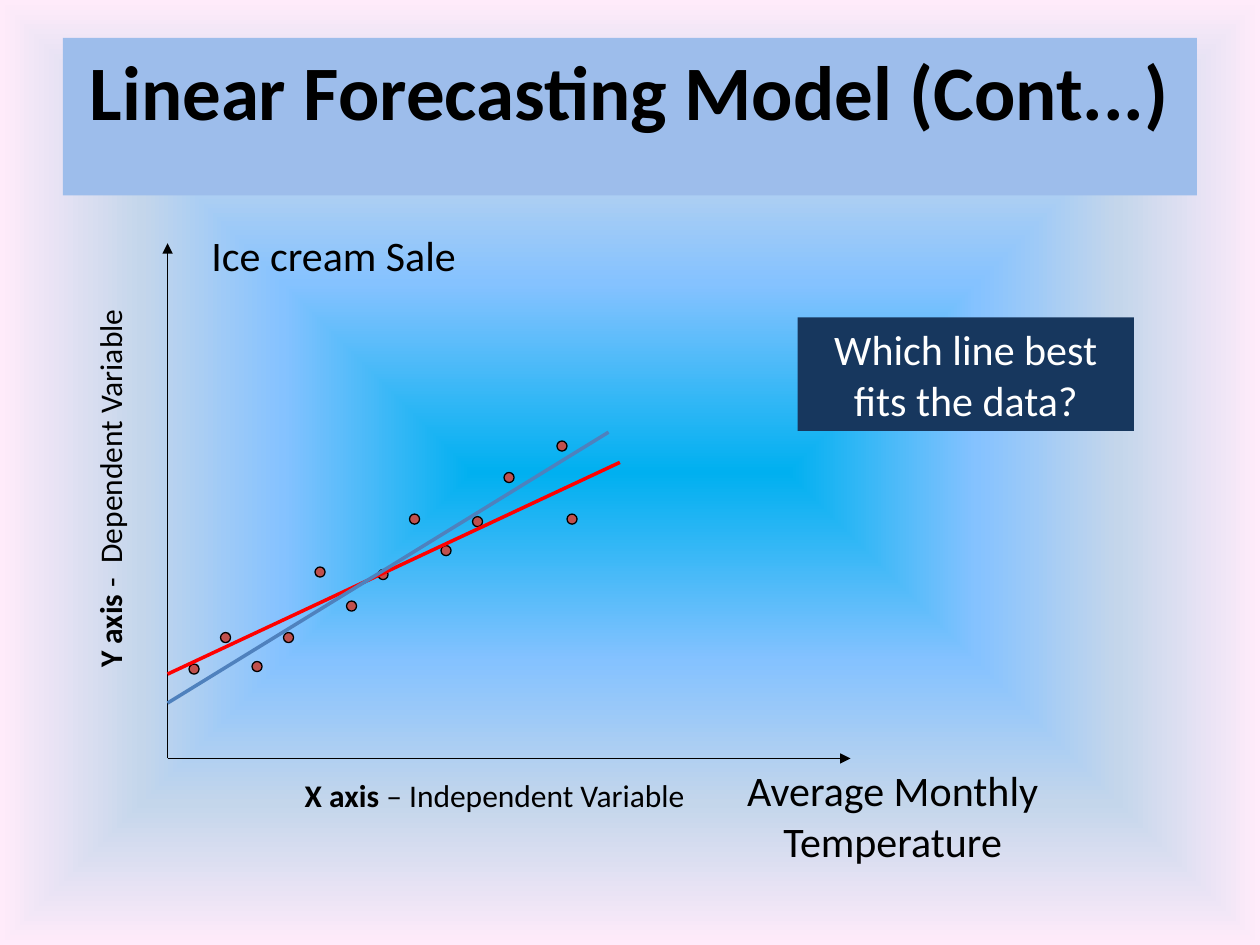
"""Build the linear forecasting slide with its hand-drawn scatter plot."""
from typing import NamedTuple, Optional

from lxml import etree
from pptx import Presentation
from pptx.dml.color import RGBColor
from pptx.enum.shapes import MSO_CONNECTOR, MSO_SHAPE
from pptx.enum.text import MSO_ANCHOR, PP_ALIGN
from pptx.oxml.ns import qn
from pptx.slide import Slide
from pptx.util import Inches, Pt

LINE, OVAL, RECT = MSO_CONNECTOR.STRAIGHT, MSO_SHAPE.OVAL, MSO_SHAPE.RECTANGLE
TOP, LEFT, MID = MSO_ANCHOR.TOP, PP_ALIGN.LEFT, PP_ALIGN.CENTER
BLACK = RGBColor(0, 0, 0)
WHITE = RGBColor(255, 255, 255)
RED = RGBColor(255, 0, 0)
BLUE = RGBColor(0x4F, 0x81, 0xBD)
BRICK = RGBColor(0xC0, 0x50, 0x4D)
NAVY = RGBColor(0x17, 0x37, 0x5E)
SKY = RGBColor(0x9D, 0xBD, 0xEB)
FONT = "Calibri"
DOT = 0.08
STOPS = ((0, "00B0F0"), (40, "85C2FF"), (70, "C4D6EB"), (100, "FFEBFA"))


class Run(NamedTuple):
    text: str
    bold: bool = False


class Label(NamedTuple):
    box: tuple[float, float, float, float]
    runs: tuple[Run, ...]
    size: int = 24
    color: RGBColor = BLACK
    align: PP_ALIGN = LEFT
    fill: Optional[RGBColor] = None
    turned: bool = False


class Stroke(NamedTuple):
    start: tuple[float, float]
    end: tuple[float, float]
    color: RGBColor = BLACK
    width: float = 0.75
    arrow: bool = False


BASE = (1.33, 6.02)
AXES = (
    Stroke(BASE, (1.33, 1.93), arrow=True),
    Stroke(BASE, (6.75, 6.02), arrow=True),
)
FITS = (
    Stroke((1.33, 5.35), (4.92, 3.67), RED, 2),
    Stroke((1.33, 5.58), (4.83, 3.43), BLUE, 2),
)
DOTS = (
    (1.5, 5.27), (1.75, 5.02), (2, 5.25), (2.25, 5.02), (2.5, 4.5),
    (2.75, 4.77), (3, 4.52), (3.25, 4.08), (3.5, 4.33), (3.75, 4.1),
    (4, 3.75), (4.42, 3.5), (4.5, 4.08),
)
NAMES = (
    Label((1.58, 1.77, 2.67, 0.5), (Run("Ice cream Sale"),)),
    Label((5.75, 6.02, 2.67, 0.9), (Run("Average Monthly Temperature"),),
          align=MID),
)
NOTES = (
    Label((6.33, 2.52, 2.67, 0.9), (Run("Which line best fits the data?"),),
          color=WHITE, align=MID, fill=NAVY),
    Label((0.5, 0.3, 9, 1.25),
          (Run("Linear Forecasting Model (Cont...)", True),),
          size=44, align=MID, fill=SKY),
    Label((0.67, 2.33, 0.5, 3.07),
          (Run("Y axis ", True), Run("-  Dependent Variable")),
          size=18, turned=True),
    Label((2.32, 6.11, 3.31, 0.4),
          (Run("X axis ", True), Run("– Independent Variable")), size=18),
)


def paint_back(slide: Slide) -> None:
    slide.background.fill.gradient()
    grad = slide.element.find(".//" + qn("a:gradFill"))
    for child in list(grad):
        grad.remove(child)
    stops = etree.SubElement(grad, qn("a:gsLst"))
    for place, color in STOPS:
        stop = etree.SubElement(stops, qn("a:gs"), pos=str(place * 1000))
        etree.SubElement(stop, qn("a:srgbClr"), val=color)
    shade = etree.SubElement(grad, qn("a:path"), path="shape")
    etree.SubElement(shade, qn("a:fillToRect"),
                     {side: "50000" for side in "ltrb"})


def add_stroke(slide: Slide, stroke: Stroke) -> None:
    ends = [Inches(n) for n in stroke.start + stroke.end]
    link = slide.shapes.add_connector(LINE, *ends)
    link.line.color.rgb = stroke.color
    link.line.width = Pt(stroke.width)
    if stroke.arrow:
        etree.SubElement(link.line._get_or_add_ln(), qn("a:tailEnd"),
                         type="triangle")
    etree.SubElement(link._element.spPr, qn("a:effectLst"))


def add_dot(slide: Slide, left: float, top: float) -> None:
    dot = slide.shapes.add_shape(OVAL, Inches(left), Inches(top),
                                 Inches(DOT), Inches(DOT))
    dot.shadow.inherit = False
    dot.fill.solid()
    dot.fill.fore_color.rgb = BRICK
    dot.line.color.rgb = BLACK
    dot.line.width = Pt(0.75)


def add_label(slide: Slide, label: Label) -> None:
    box = [Inches(n) for n in label.box]
    if label.fill is None:
        shape = slide.shapes.add_textbox(*box)
    else:
        shape = slide.shapes.add_shape(RECT, *box)
        shape.shadow.inherit = False
        shape.fill.solid()
        shape.fill.fore_color.rgb = label.fill
        shape.line.fill.background()
    frame = shape.text_frame
    frame.word_wrap = True
    frame.vertical_anchor = TOP
    if label.turned:
        frame._txBody.bodyPr.set("vert", "vert270")
    para = frame.paragraphs[0]
    para.alignment = label.align
    for part in label.runs:
        run = para.add_run()
        run.text = part.text
        run.font.name = FONT
        run.font.size = Pt(label.size)
        run.font.bold = part.bold
        run.font.color.rgb = label.color


def main() -> None:
    deck = Presentation()
    deck.slide_width, deck.slide_height = Inches(10), Inches(7.5)
    slide = deck.slides.add_slide(deck.slide_layouts[6])
    paint_back(slide)
    for axis in AXES:
        add_stroke(slide, axis)
    for left, top in DOTS:
        add_dot(slide, left, top)
    for name in NAMES:
        add_label(slide, name)
    for fit in FITS:
        add_stroke(slide, fit)
    for note in NOTES:
        add_label(slide, note)
    deck.save("out.pptx")


if __name__ == "__main__":
    main()
